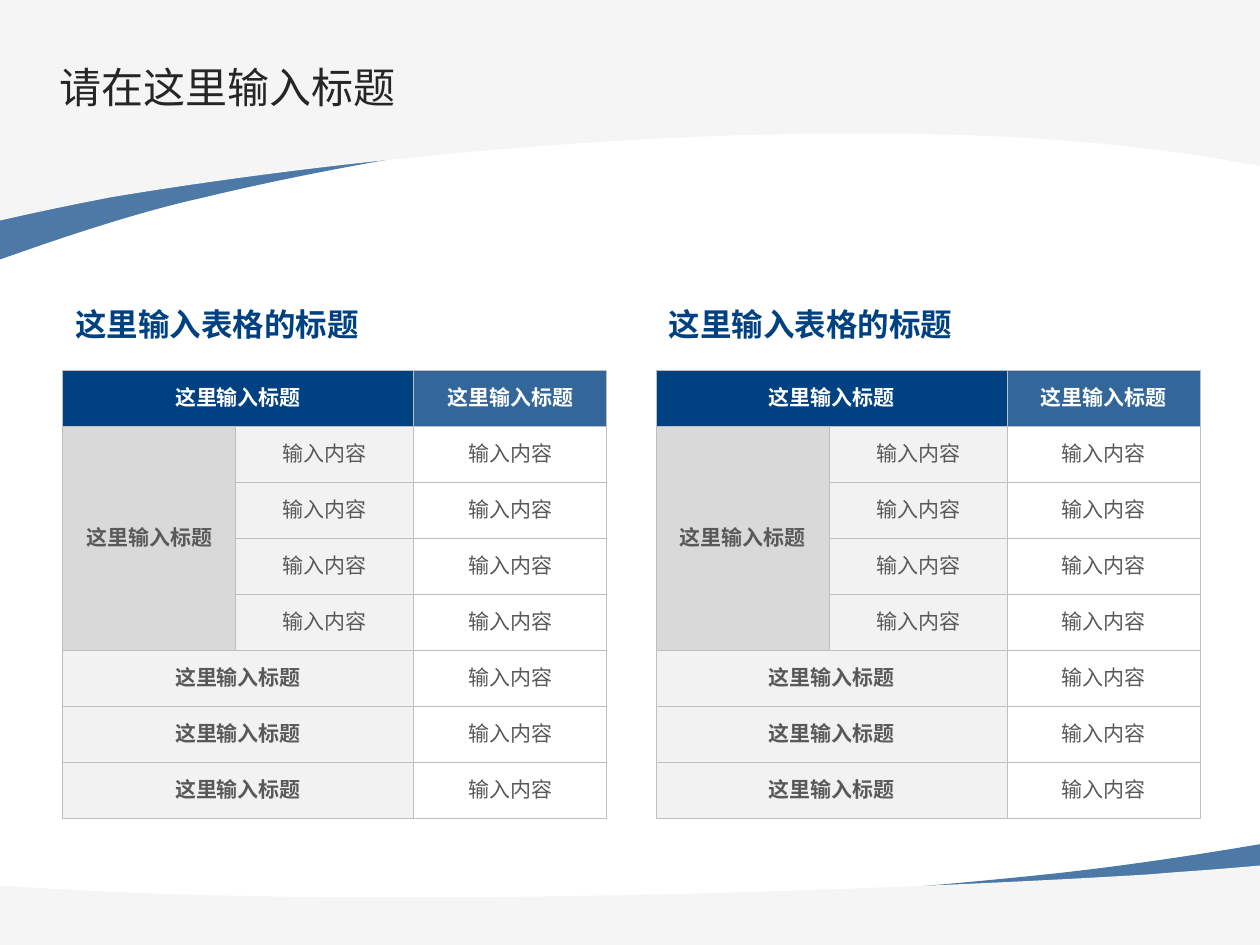
from lxml.etree import SubElement
from pptx import Presentation
from pptx.dml.color import RGBColor
from pptx.enum.text import MSO_ANCHOR as Anchor, PP_ALIGN as Align
from pptx.oxml.ns import qn
from pptx.util import Pt

FONT = "Noto Sans CJK SC"
COLORS = {
    "navy": "004181",
    "band": "F5F5F5",
    "title": "262626",
    "text": "595959",
    "white": "FFFFFF",
    "label": "D9D9D9",
    "light": "F2F2F2",
    "border": "BFBFBF",
}
HEADER = "这里输入标题"
CONTENT = "输入内容"
COLUMN_WIDTHS = (99, 101.5, 110.5)
ROW_COUNT = 8
ROW_HEIGHT = 32
GROUP_LAST_ROW = 4


def write_text(frame, text, size=12, color="text", bold=False, align=Align.LEFT,
               line_spacing=None, margins=(7.2, 3.6, 7.2, 3.6), wrap=True):
    frame.margin_left, frame.margin_top, frame.margin_right, frame.margin_bottom = map(Pt, margins)
    frame.vertical_anchor = Anchor.MIDDLE
    frame.word_wrap = wrap
    paragraph = frame.paragraphs[0]
    paragraph.alignment = align
    if line_spacing:
        paragraph.line_spacing = Pt(line_spacing)
    run = paragraph.add_run()
    run.text = text
    run.font.size = Pt(size)
    run.font.bold = bold
    run.font.color.rgb = RGBColor.from_string(COLORS[color])
    run.font.name = FONT
    SubElement(run.font._element, qn("a:ea"), typeface=FONT)


def paint(fill, color, opacity=100):
    fill.solid()
    fill.fore_color.rgb = RGBColor.from_string(COLORS[color])
    if opacity < 100:
        color_element = fill._xPr.find(qn("a:solidFill")).find(qn("a:srgbClr"))
        SubElement(color_element, qn("a:alpha"), val=str(opacity * 1000))


def bend_last_segments(shape, curves):
    segments = list(shape.element.iter(qn("a:lnTo")))[-len(curves):]
    for segment, curve in zip(segments, curves):
        bend = SubElement(segment.getparent(), qn("a:cubicBezTo"))
        for x, y in curve:
            SubElement(bend, qn("a:pt"), x=str(Pt(x)), y=str(Pt(y)))
        segment.getparent().replace(segment, bend)


def add_wave(slide, box, corners, curves, color, opacity=100):
    left, top = box
    points = corners + [curve[-1] for curve in curves]
    placed = [(Pt(left + x), Pt(top + y)) for x, y in points]
    builder = slide.shapes.build_freeform(*placed[0], scale=1.0)
    builder.add_line_segments(placed[1:], close=True)
    shape = builder.convert_to_shape()
    bend_last_segments(shape, curves)
    shape.shadow.inherit = False
    paint(shape.fill, color, opacity)
    shape.line.fill.background()
    slide.slide_layout.placeholders[0].element.addprevious(shape.element)


def add_top_waves(slide, left, top):
    add_wave(slide, (left, top + 47.5),
             [(0, 100.8), (0, 0), (720, 0), (720, 41.8), (719.3, 41)],
             [((557.3, -9.4), (277.2, 26.6), (115.9, 65.5)),
              ((83.5, 72.7), (46.8, 84.2), (0, 100.8))], "navy", 70)
    add_wave(slide, (left, top),
             [(0, 126), (0, 0), (720, 0), (720, 95), (696.2, 90.7)],
             [((508.3, 59), (228.2, 85), (61.9, 113)),
              ((47.5, 115.9), (31.7, 118.8), (0, 126))], "band")


def add_bottom_waves(slide, left, top):
    add_wave(slide, (left, top),
             [(720, 0), (720, 46.8), (0, 46.8), (0, 27.4), (0.7, 27.4)],
             [((162.7, 51.1), (442.8, 33.8), (604.1, 16.6)),
              ((636.5, 13), (673.2, 7.9), (720, 0))], "navy", 70)
    add_wave(slide, (left, top + 12.2),
             [(720, 0), (720, 45.4), (0, 45.4), (0, 11.5), (23.8, 13)],
             [((211.7, 24.5), (491.8, 15.1), (658.1, 5)),
              ((672.5, 3.6), (688.3, 2.9), (720, 0))], "band")


def add_title(slide, left, top, width, height):
    title = slide.shapes.title
    title.left, title.top, title.width, title.height = map(Pt, (left, top, width, height))
    write_text(title.text_frame, "请在这里输入标题", size=24, color="title",
               margins=(5.76, 5.76, 0, 5.76))


def add_borders(cell):
    properties = cell._tc.get_or_add_tcPr()
    for side in ("lnL", "lnR", "lnT", "lnB"):
        line = SubElement(properties, qn(f"a:{side}"), w=str(Pt(0.5)))
        fill = SubElement(line, qn("a:solidFill"))
        SubElement(fill, qn("a:srgbClr"), val=COLORS["border"])


def cell_fill(row, column):
    if row == 0:
        return ("navy", 80) if column == 2 else ("navy", 100)
    if column == 2:
        return None
    if column == 0 and row <= GROUP_LAST_ROW:
        return "label", 100
    return "light", 100


def add_table_panel(slide, left, top):
    width = sum(COLUMN_WIDTHS)
    heading = slide.shapes.add_textbox(Pt(left), Pt(top), Pt(178), Pt(23))
    write_text(heading.text_frame, "这里输入表格的标题", size=18, color="navy",
               bold=True, line_spacing=15, wrap=False)

    table = slide.shapes.add_table(ROW_COUNT, len(COLUMN_WIDTHS), Pt(left), Pt(top + 35),
                                   Pt(width), Pt(ROW_COUNT * ROW_HEIGHT)).table
    table.first_row = table.horz_banding = False
    for column, column_width in zip(table.columns, COLUMN_WIDTHS):
        column.width = Pt(column_width)
    for row in table.rows:
        row.height = Pt(ROW_HEIGHT)

    table.cell(1, 0).merge(table.cell(GROUP_LAST_ROW, 0))
    for row in (0, *range(GROUP_LAST_ROW + 1, ROW_COUNT)):
        table.cell(row, 0).merge(table.cell(row, 1))

    for row in range(ROW_COUNT):
        for column in range(len(COLUMN_WIDTHS)):
            cell = table.cell(row, column)
            add_borders(cell)
            fill = cell_fill(row, column)
            if fill:
                paint(cell.fill, *fill)
            else:
                cell.fill.background()
            if cell.is_spanned:
                continue
            is_header = row == 0 or column == 0
            write_text(cell.text_frame, HEADER if is_header else CONTENT,
                       color="white" if row == 0 else "text", bold=is_header,
                       align=Align.CENTER, line_spacing=15)
            cell.margin_left = cell.margin_right = Pt(2.9)
            cell.margin_top = cell.margin_bottom = Pt(8.5)
            cell.vertical_anchor = Anchor.MIDDLE


def main():
    presentation = Presentation()
    presentation.slide_width, presentation.slide_height = Pt(720), Pt(540)
    slide = presentation.slides.add_slide(presentation.slide_layouts[5])
    add_top_waves(slide, 0, 0)
    add_bottom_waves(slide, 0, 482.4)
    add_title(slide, 28.5, 28.5, 648, 41.8)
    for left in (35.8, 375):
        add_table_panel(slide, left, 176.9)
    presentation.save("out.pptx")


if __name__ == "__main__":
    main()
